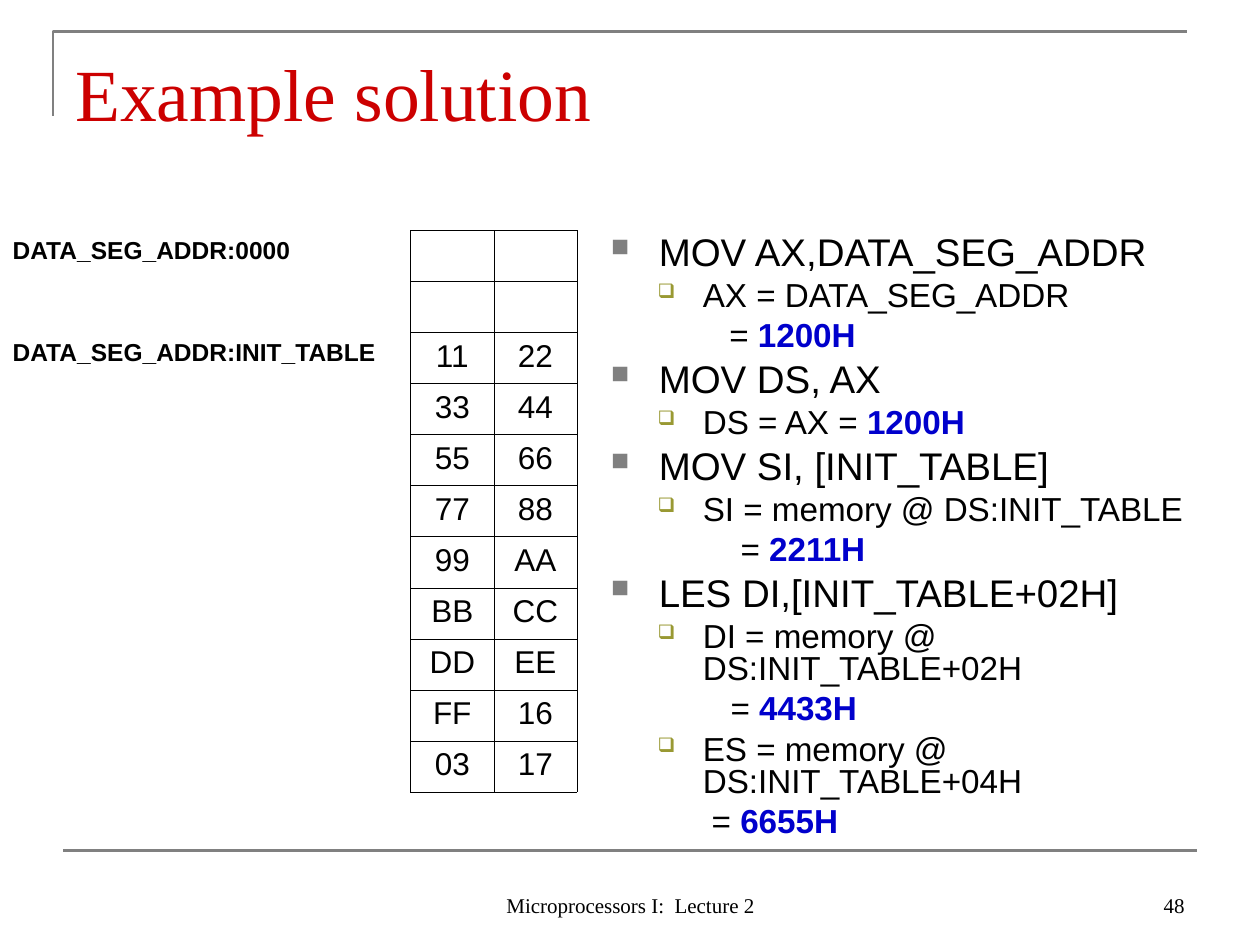
from dataclasses import dataclass

from lxml import etree
from pptx import Presentation
from pptx.dml.color import RGBColor
from pptx.enum.shapes import MSO_CONNECTOR
from pptx.enum.text import MSO_ANCHOR, PP_ALIGN
from pptx.oxml.ns import qn
from pptx.util import Inches, Pt

STRAIGHT = MSO_CONNECTOR.STRAIGHT
TOP, BOTTOM = MSO_ANCHOR.TOP, MSO_ANCHOR.BOTTOM
LEFT, CENTER, RIGHT = PP_ALIGN.LEFT, PP_ALIGN.CENTER, PP_ALIGN.RIGHT


@dataclass(frozen=True)
class Theme:
    sans: str = "Arial"
    serif: str = "Times New Roman"
    black: str = "000000"
    white: str = "FFFFFF"
    gray: str = "808080"
    red: str = "CC0000"
    blue: str = "0000CC"
    olive: str = "999933"
    title: float = 42
    head: float = 22
    sub: float = 19
    cell: float = 18
    label: float = 14
    foot: float = 12
    rule: float = 1.5
    grid: float = 0.45


THEME = Theme()


@dataclass(frozen=True)
class Level:
    depth: int
    size: float
    margin: float
    hang: float
    before: float
    mark: str
    tint: str
    scale: int


HEAD = Level(0, THEME.head, 0.38, 0.38, 5.5, "■", THEME.gray, 65)
SUB = Level(1, THEME.sub, 0.73, 0.36, 4.8, "❑", THEME.olive, 60)


@dataclass(frozen=True)
class Line:
    level: Level
    text: str
    value: str = ""
    start: float = 0  # left edge of an unmarked result line


LINES = [
    Line(HEAD, "MOV AX,DATA_SEG_ADDR"),
    Line(SUB, "AX = DATA_SEG_ADDR"),
    Line(SUB, "= ", "1200H", 0.94),
    Line(HEAD, "MOV DS, AX"),
    Line(SUB, "DS = AX = ", "1200H"),
    Line(HEAD, "MOV SI, [INIT_TABLE]"),
    Line(SUB, "SI = memory @ DS:INIT_TABLE"),
    Line(SUB, "= ", "2211H", 1.03),
    Line(HEAD, "LES DI,[INIT_TABLE+02H]"),
    Line(SUB, "DI = memory @\nDS:INIT_TABLE+02H"),
    Line(SUB, "= ", "4433H", 0.95),
    Line(SUB, "ES = memory @\nDS:INIT_TABLE+04H"),
    Line(SUB, "= ", "6655H", 0.8),
]

# Memory map: row labels and byte pairs
LABELS = {0: "DATA_SEG_ADDR:0000", 2: "DATA_SEG_ADDR:INIT_TABLE"}
BYTES = ["", "", "11 22", "33 44", "55 66", "77 88",
         "99 AA", "BB CC", "DD EE", "FF 16", "03 17"]
WIDTHS = [3.26, 0.66, 0.66]


def add_run(para, text: str, size: float, font: str = THEME.sans,
            color: str = THEME.black, bold: bool = False) -> None:
    run = para.add_run()
    run.text = text
    run.font.size = Pt(size)
    run.font.name = font
    run.font.bold = bold
    run.font.color.rgb = RGBColor.from_string(color)


def add_frame(slide, left: float, top: float, width: float, height: float,
              anchor=TOP):
    frame = slide.shapes.add_textbox(
        Inches(left), Inches(top), Inches(width), Inches(height)).text_frame
    frame.word_wrap = True
    frame.vertical_anchor = anchor
    return frame


def draw_rules(slide) -> None:
    build = slide.shapes.build_freeform(Inches(0.42), Inches(0.92))
    build.add_line_segments([(Inches(0.42), Inches(0.25)),
                             (Inches(9.42), Inches(0.25))], close=False)
    corner = build.convert_to_shape()
    corner.fill.background()
    corner.shadow.inherit = False
    base = slide.shapes.add_connector(
        STRAIGHT, Inches(0.5), Inches(6.75), Inches(9.5), Inches(6.75))
    etree.SubElement(base.element.spPr, qn("a:effectLst"))
    for shape in (corner, base):
        shape.line.color.rgb = RGBColor.from_string(THEME.gray)
        shape.line.width = Pt(THEME.rule)


def style_cell(cell, outer: str) -> None:
    props = cell._tc.get_or_add_tcPr()
    for side in "LRTB":
        color = THEME.black if side == "R" else outer
        edge = etree.SubElement(props, qn(f"a:ln{side}"),
                                w=str(Pt(THEME.grid)))
        fill = etree.SubElement(edge, qn("a:solidFill"))
        etree.SubElement(fill, qn("a:srgbClr"), val=color)
    cell.fill.solid()
    cell.fill.fore_color.rgb = RGBColor.from_string(THEME.white)


def draw_table(slide) -> None:
    table = slide.shapes.add_table(
        len(BYTES), len(WIDTHS), Inches(0), Inches(1.83),
        Inches(sum(WIDTHS)), Inches(4.46)).table
    table.first_row = table.horz_banding = False
    for col, width in zip(table.columns, WIDTHS):
        col.width = Inches(width)
    for row, pair in enumerate(BYTES):
        texts = [LABELS.get(row, ""), *(pair.split() or ["", ""])]
        for col, text in enumerate(texts):
            cell = table.cell(row, col)
            style_cell(cell, THEME.black if col else THEME.white)
            para = cell.text_frame.paragraphs[0]
            para.alignment = CENTER if col else LEFT
            size = THEME.cell if col else THEME.label
            para.font.size = Pt(size)
            if text:
                add_run(para, text, size, bold=not col)


def add_mark(props, level: Level) -> None:
    tint = etree.SubElement(props, qn("a:buClr"))
    etree.SubElement(tint, qn("a:srgbClr"), val=level.tint)
    etree.SubElement(props, qn("a:buSzPct"), val=str(level.scale * 1000))
    etree.SubElement(props, qn("a:buChar"), char=level.mark)


def draw_lines(slide) -> None:
    frame = add_frame(slide, 4.75, 1.83, 5.25, 4.92)
    for i, line in enumerate(LINES):
        level = line.level
        para = frame.add_paragraph() if i else frame.paragraphs[0]
        para.level = level.depth
        para.line_spacing = 0.8
        para.space_before = Pt(level.before)
        props = para._p.get_or_add_pPr()
        props.set("marL", str(Inches(line.start or level.margin)))
        props.set("indent", str(0 if line.start else -Inches(level.hang)))
        if not line.start:
            add_mark(props, level)
        for j, part in enumerate(line.text.split("\n")):
            if j:
                para.add_line_break()
            add_run(para, part, level.size)
        if line.value:
            add_run(para, line.value, level.size,
                    color=THEME.blue, bold=True)


def main() -> None:
    deck = Presentation()
    deck.slide_width, deck.slide_height = Inches(10), Inches(7.5)
    slide = deck.slides.add_slide(deck.slide_layouts[6])
    draw_rules(slide)

    # Title
    frame = add_frame(slide, 0.5, 0.3, 9, 0.78, BOTTOM)
    frame.margin_bottom = 0
    add_run(frame.paragraphs[0], "Example solution", THEME.title,
            THEME.serif, THEME.red)

    draw_table(slide)
    draw_lines(slide)

    # Footer and page number
    for left, width, align, text in (
            (3.42, 3.17, CENTER, "Microprocessors I:  Lecture 2"),
            (7.17, 2.33, RIGHT, "48")):
        para = add_frame(slide, left, 6.83, width, 0.5, BOTTOM).paragraphs[0]
        para.alignment = align
        add_run(para, text, THEME.foot, THEME.serif)

    deck.save("out.pptx")


if __name__ == "__main__":
    main()
